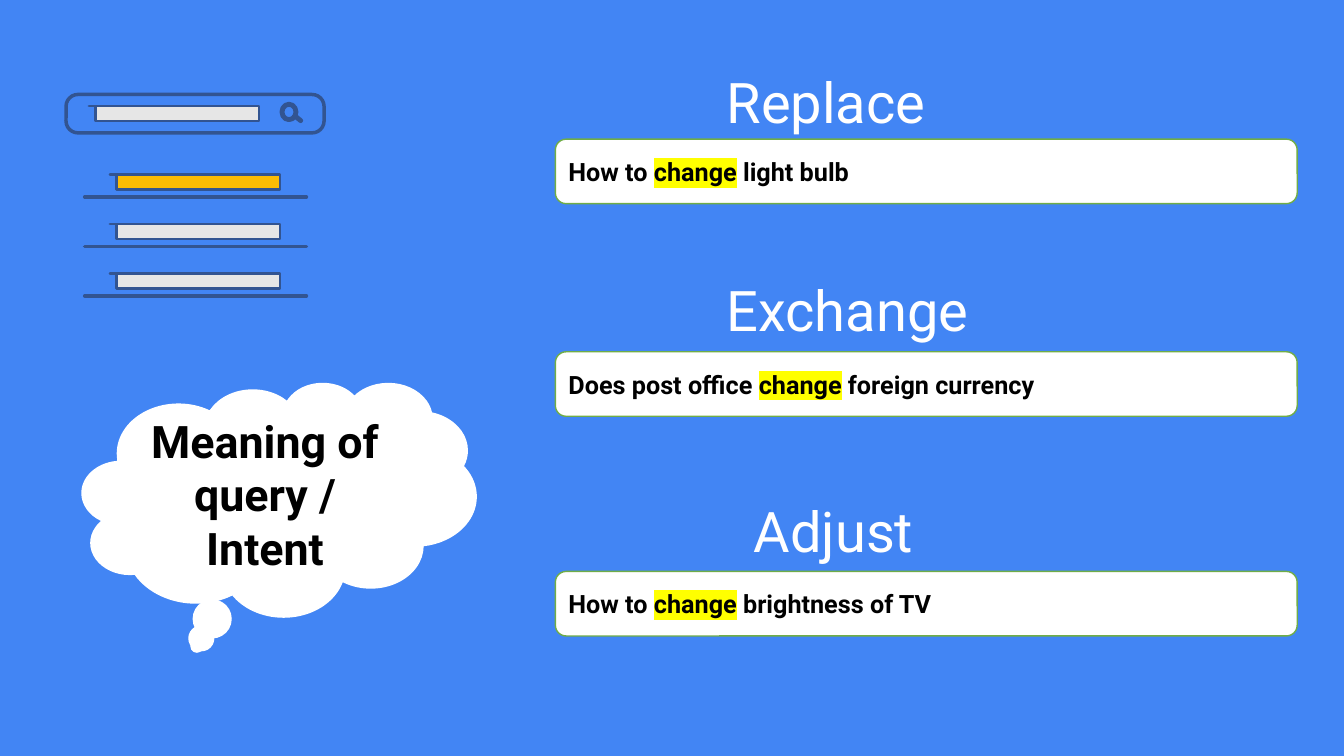
"""Build a slide on how one query word carries several intents."""
from lxml import etree
from pptx import Presentation
from pptx.dml.color import RGBColor
from pptx.enum import shapes as kinds, text as txt
from pptx.oxml import ns
from pptx.util import Pt

BLUE = RGBColor(0x42, 0x85, 0xF4)
NAVY = RGBColor(0x32, 0x54, 0x91)
GREY = RGBColor(0xE6, 0xE6, 0xE6)
AMBER = RGBColor(0xFB, 0xBC, 0x05)
GREEN = RGBColor(0x70, 0xAD, 0x47)
WHITE = RGBColor(0xFF, 0xFF, 0xFF)
BLACK = RGBColor(0x00, 0x00, 0x00)
YELLOW = "FFFF00"
FONT = "Roboto"

MEANINGS = [
    ("Replace", 512, 44.6, 99.4, ("How to ", "change", " light bulb")),
    ("Exchange", 512, 193, 251.3,
     ("Does post office ", "change", " foreign currency")),
    ("Adjust", 531.4, 351.4, 408.2,
     ("How to ", "change", " brightness of TV")),
]


def style_run(run, size, color, bold=False):
    """Set the font of a run."""
    run.font.name = FONT
    run.font.size = Pt(size)
    run.font.bold = bold
    run.font.color.rgb = color


def highlight(run):
    """Mark a coloured run in yellow."""
    marker = etree.Element(ns.qn("a:highlight"))
    etree.SubElement(marker, ns.qn("a:srgbClr"), val=YELLOW)
    run.font._element.find(ns.qn("a:solidFill")).addnext(marker)


def paint(shape, fill=None, line=None, weight=1):
    """Give a shape its fill and outline, without a shadow."""
    shape.shadow.inherit = False
    if fill is None:
        shape.fill.background()
    else:
        shape.fill.solid()
        shape.fill.fore_color.rgb = fill
    if line is None:
        shape.line.fill.background()
    else:
        shape.line.color.rgb = line
        shape.line.width = Pt(weight)


def add_preset(slide, kind, left, top, width, height, **look):
    """Add a painted preset shape."""
    shape = slide.shapes.add_shape(
        kind, Pt(left), Pt(top), Pt(width), Pt(height))
    paint(shape, **look)
    return shape


def add_stroke(slide, x1, y1, x2, y2, weight):
    """Add a navy line with round ends."""
    stroke = slide.shapes.add_connector(
        kinds.MSO_CONNECTOR.STRAIGHT, Pt(x1), Pt(y1), Pt(x2), Pt(y2))
    stroke.line.color.rgb = NAVY
    stroke.line.width = Pt(weight)
    stroke.get_or_add_ln().set("cap", "rnd")
    etree.SubElement(stroke._element.spPr, ns.qn("a:effectLst"))


def add_bar(slide, left, top, fill):
    """Add a text bar whose top edge juts out to the left."""
    lip, right, bottom = left + 4.8, left + 121.4, top + 10.8
    outline = [(right, top), (right, bottom), (lip, bottom), (lip, top)]
    builder = slide.shapes.build_freeform(Pt(left), Pt(top))
    builder.add_line_segments([(Pt(x), Pt(y)) for x, y in outline])
    paint(builder.convert_to_shape(), fill, NAVY, 1.75)


def add_search_page(slide):
    """Draw the search field and its three results."""
    field = add_preset(slide, kinds.MSO_SHAPE.ROUNDED_RECTANGLE,
                       47.2, 67.5, 184.3, 27.4, line=NAVY, weight=2.5)
    field.adjustments[0] = 0.31
    add_bar(slide, 63.5, 75.7, GREY)
    add_preset(slide, kinds.MSO_SHAPE.OVAL, 201.4, 74.5, 10, 11,
               line=NAVY, weight=3.5)
    add_stroke(slide, 211.4, 83.4, 214.8, 86.2, 3.5)
    for row, fill in enumerate((AMBER, GREY, GREY)):
        drop = row * 35.3
        add_bar(slide, 78.5, 124.6 + drop, fill)
        add_stroke(slide, 60.5, 140.7 + drop, 218.9, 140.7 + drop, 2.5)


def add_thought(slide, words):
    """Add the thought cloud."""
    cloud = add_preset(slide, kinds.MSO_SHAPE.CLOUD_CALLOUT,
                       58.3, 272.9, 282.2, 167.8, fill=WHITE)
    frame = cloud.text_frame
    frame.word_wrap = True
    frame.vertical_anchor = txt.MSO_ANCHOR.MIDDLE
    frame.text = words
    frame.paragraphs[0].alignment = txt.PP_ALIGN.CENTER
    style_run(frame.paragraphs[0].runs[0], 32, BLACK, bold=True)


def add_query(slide, top, parts):
    """Add a query box with its middle part highlighted."""
    box = add_preset(slide, kinds.MSO_SHAPE.ROUNDED_RECTANGLE,
                     396.7, top, 529.9, 46.1, fill=WHITE, line=GREEN)
    frame = box.text_frame
    frame.word_wrap = True
    frame.vertical_anchor = txt.MSO_ANCHOR.MIDDLE
    query = frame.paragraphs[0]
    query.alignment = txt.PP_ALIGN.LEFT
    for part in parts:
        run = query.add_run()
        run.text = part
        style_run(run, 18, BLACK, bold=True)
    highlight(query.runs[1])


def add_heading(slide, left, top, word):
    """Add the meaning above a query box."""
    box = slide.shapes.add_textbox(Pt(left), Pt(top), Pt(240), Pt(55.4))
    box.text_frame.word_wrap = True
    box.text_frame.text = word
    style_run(box.text_frame.paragraphs[0].runs[0], 40, WHITE)


def main():
    """Build and save the slide."""
    deck = Presentation()
    deck.slide_width, deck.slide_height = Pt(960), Pt(540)
    slide = deck.slides.add_slide(deck.slide_layouts[6])
    slide.background.fill.solid()
    slide.background.fill.fore_color.rgb = BLUE
    add_search_page(slide)
    add_thought(slide, "Meaning of query / Intent")
    for word, left, heading_top, query_top, parts in MEANINGS:
        add_query(slide, query_top, parts)
        add_heading(slide, left, heading_top, word)
    deck.save("out.pptx")


if __name__ == "__main__":
    main()
